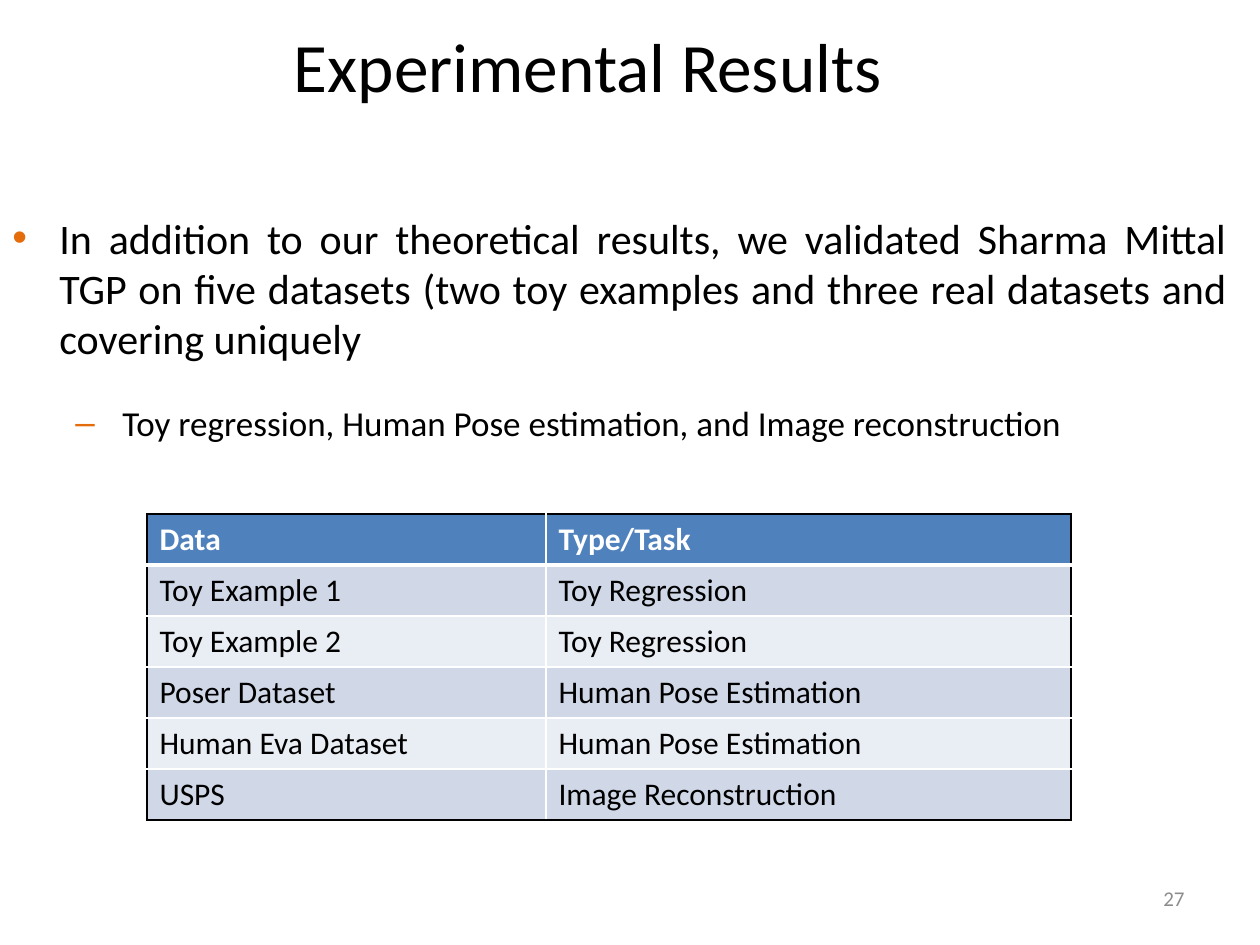
from lxml import etree
from pptx import Presentation, util as u
from pptx.dml.color import RGBColor
from pptx.enum import text
from pptx.oxml.ns import qn

ALIGN = text.PP_ALIGN
MIDDLE = text.MSO_ANCHOR.MIDDLE


def px(length):
    return u.Emu(round(length * 914400 / 126))


def color(value):
    return RGBColor.from_string(value)


class Slide:
    """Draws styled elements on one page, with lengths in px."""

    font = "Calibri"
    ink, paper, accent, header = "000000", "FFFFFF", "E46C0A", "4F81BD"
    bands = ("D0D8E8", "E9EDF4")

    def __init__(self, page):
        self.page = page

    def span(self, para, words, size, ink=ink, bold=False):
        span = para.add_run()
        span.text = words
        span.font.name, span.font.size, span.font.bold = self.font, u.Pt(size), bold
        span.font.color.rgb = color(ink)

    def box(self, left, top, width, height, anchor=text.MSO_ANCHOR.TOP):
        frame = self.page.shapes.add_textbox(*map(px, (left, top, width, height))).text_frame
        frame.word_wrap = True
        frame.vertical_anchor = anchor
        return frame

    def label(self, area, words, size, align, ink=ink):
        para = self.box(*area, anchor=MIDDLE).paragraphs[0]
        para.alignment = align
        self.span(para, words, size, ink)

    def bullets(self, area, items):
        frame = self.box(*area)
        for index, (words, size, mark, margin, hang) in enumerate(items):
            para = frame.add_paragraph() if index else frame.paragraphs[0]
            para.level = index
            para.alignment = ALIGN.JUSTIFY
            para.space_before = u.Pt(7.2 if index else 0)
            para.space_after = u.Pt(14.4)
            props = para._p.get_or_add_pPr()
            props.set("marL", str(px(margin)))
            props.set("indent", str(-px(hang)))
            tint = etree.SubElement(props, qn("a:buClr"))
            etree.SubElement(tint, qn("a:srgbClr"), val=self.accent)
            etree.SubElement(props, qn("a:buFont"), typeface="Arial")
            etree.SubElement(props, qn("a:buChar"), char=mark)
            self.span(para, words, size)

    def borders(self, cell, sides):
        props = cell._tc.get_or_add_tcPr()
        for index, (side, (ink, width)) in enumerate(sides.items()):
            line = etree.Element(qn("a:ln" + side), w=str(u.Pt(width)))
            fill = etree.SubElement(line, qn("a:solidFill"))
            etree.SubElement(fill, qn("a:srgbClr"), val=ink)
            props.insert(index, line)

    def table(self, left, top, widths, row_height, rows):
        last_row, last_col = len(rows) - 1, len(widths) - 1
        area = (left, top, sum(widths), row_height * len(rows))
        table = self.page.shapes.add_table(len(rows), len(widths), *map(px, area)).table
        for column, width in zip(table.columns, widths):
            column.width = px(width)
        for r, values in enumerate(rows):
            table.rows[r].height = px(row_height)
            for c, words in enumerate(values):
                cell = table.cell(r, c)
                cell.fill.solid()
                cell.fill.fore_color.rgb = color(self.bands[(r - 1) % 2] if r else self.header)
                self.span(cell.text_frame.paragraphs[0], words, 18,
                          self.ink if r else self.paper, r == 0)
                outer = {"L": c == 0, "R": c == last_col, "T": r == 0, "B": r == last_row}
                sides = {side: (self.ink if edge else self.paper, 1) for side, edge in outer.items()}
                if r == 0:
                    sides["B"] = (self.paper, 3)
                elif r == 1:
                    sides["T"] = (self.paper, 3)
                self.borders(cell, sides)


def main():
    deck = Presentation()
    deck.slide_width, deck.slide_height = px(1260), px(945)
    slide = Slide(deck.slides.add_slide(deck.slide_layouts[6]))
    slide.label((21, 21, 1134, 88), "Experimental Results", 39.6, ALIGN.CENTER)
    slide.label((903, 873, 294, 50), "27", 12, ALIGN.RIGHT, "8C8C8C")
    slide.bullets((0, 206, 1239, 718), [
        ("In addition to our theoretical results, we validated Sharma Mittal TGP on five datasets "
         "(two toy examples and three real datasets and covering uniquely", 24, "•", 47, 47),
        ("Toy regression, Human Pose estimation, and Image reconstruction", 20, "–", 110, 47),
    ])
    slide.table(147, 514, (399, 525), 51, [
        ("Data", "Type/Task"),
        ("Toy Example 1", "Toy Regression"),
        ("Toy Example 2", "Toy Regression"),
        ("Poser Dataset", "Human Pose Estimation"),
        ("Human Eva Dataset", "Human Pose Estimation"),
        ("USPS", "Image Reconstruction"),
    ])
    deck.save("out.pptx")


if __name__ == "__main__":
    main()
